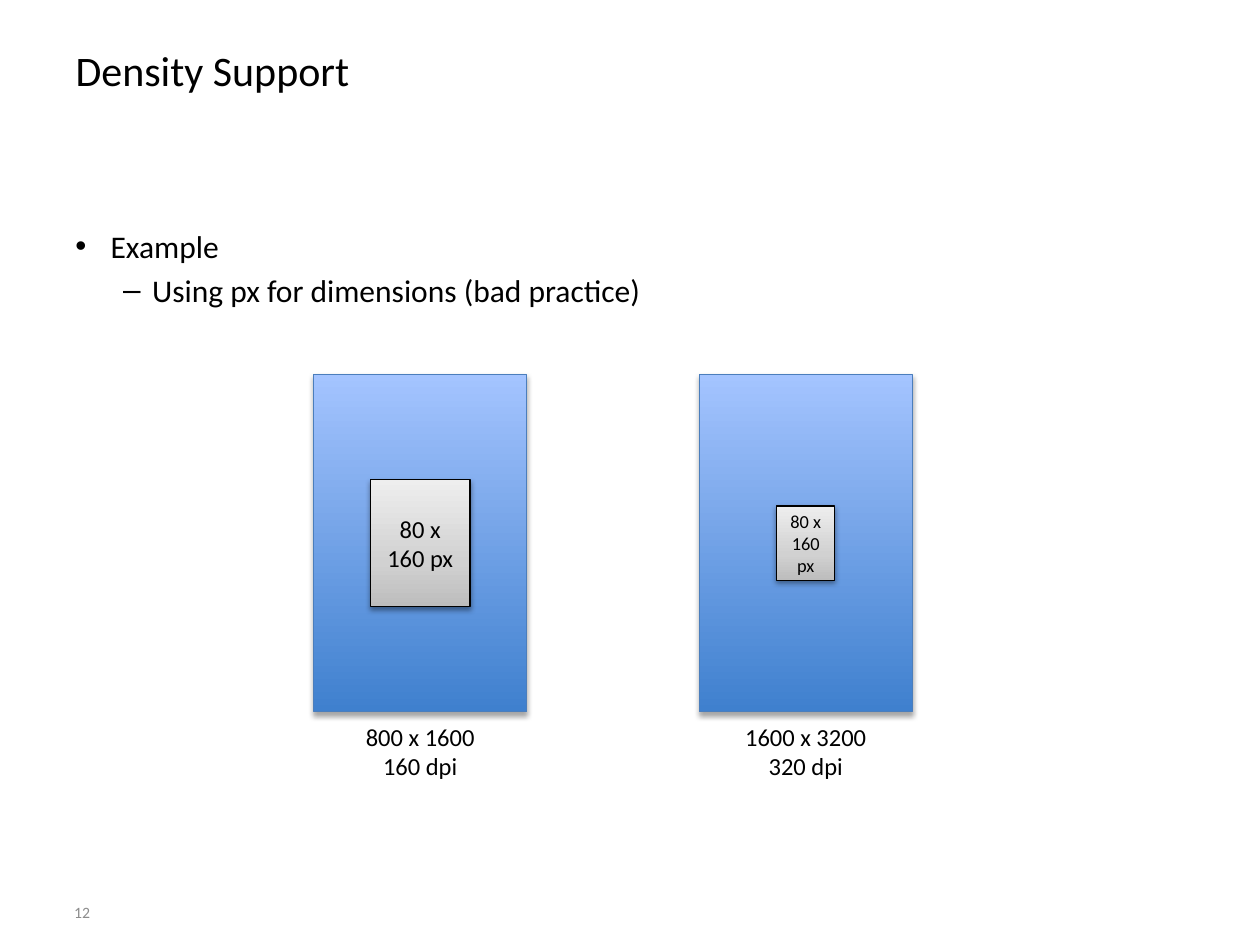
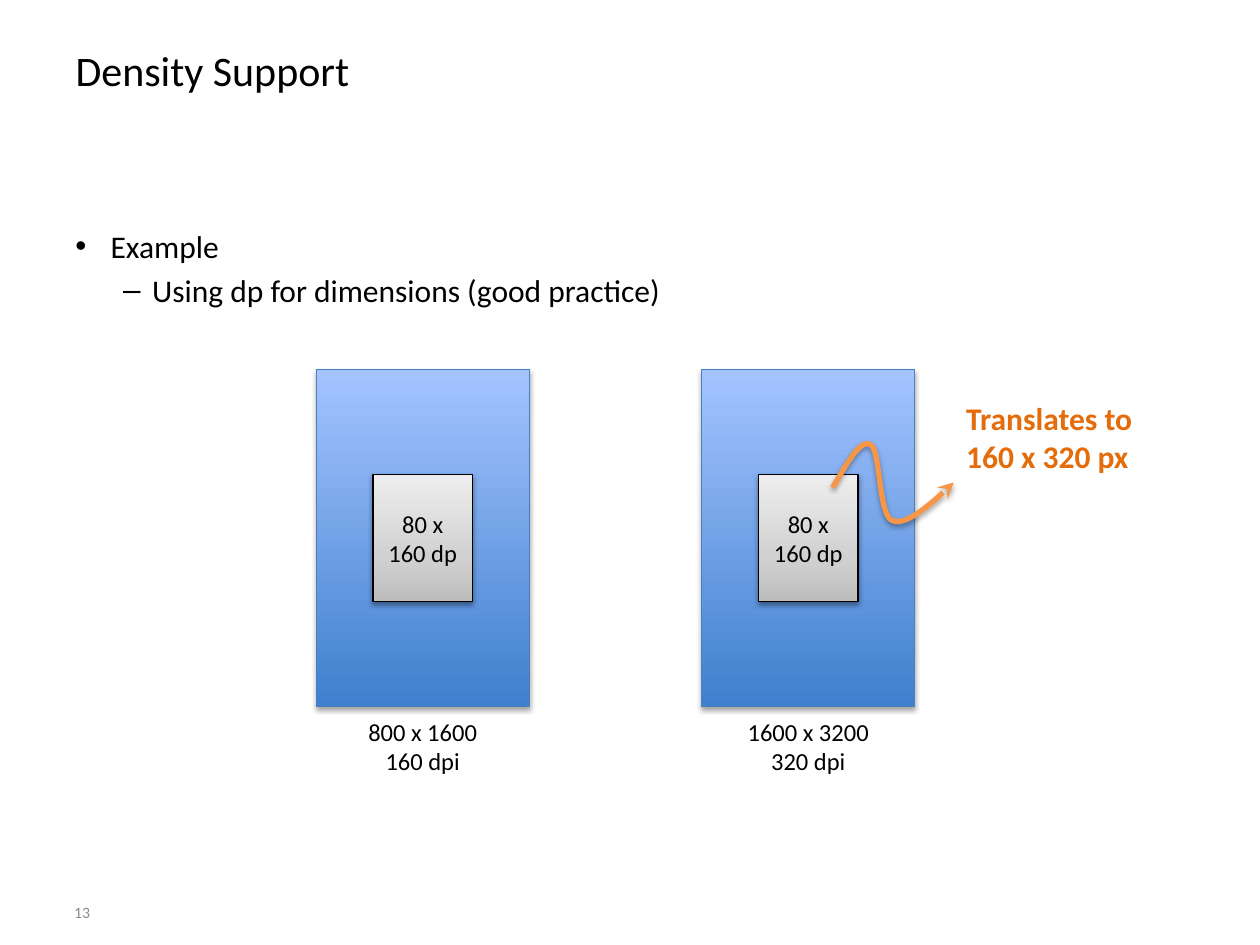
from dataclasses import dataclass

from lxml import etree
from pptx import Presentation
from pptx.dml.color import RGBColor
from pptx.enum.shapes import MSO_SHAPE
from pptx.enum.text import MSO_ANCHOR, MSO_AUTO_SIZE, PP_ALIGN
from pptx.oxml.ns import qn
from pptx.util import Inches, Pt

RECT = MSO_SHAPE.RECTANGLE
TOP, MIDDLE = MSO_ANCHOR.TOP, MSO_ANCHOR.MIDDLE
LEFT, CENTER = PP_ALIGN.LEFT, PP_ALIGN.CENTER
NO_FIT = MSO_AUTO_SIZE.NONE

FONT = "Calibri"
BLACK, GRAY = "000000", "8C8C8C"
ORANGE, RUST = "F79646", "E46C0A"
BLUE_LINE = "4B7EBC"
BLUES = [(0, "3F80CE"), (100, "A4C4FF")]
GRAYS = [(0, "BDBDBD"), (35, "D1D1D1"), (100, "EEEEEE")]

SCREEN_W, SCREEN_H, PITCH = 1.69, 2.68, 3.06
CAPTIONS = [["800 x 1600", "160 dpi"], ["1600 x 3200", "320 dpi"]]
BULLETS = [("•", 0.28, 0.28), ("–", 0.61, 0.23)]

Point = tuple[float, float]


@dataclass
class Box:
    """A sized element inside a screen."""
    width: float
    height: float
    size: float


@dataclass
class Page:
    number: int
    claim: str
    label: str
    left: float
    top: float
    boxes: list[Box]


LARGE, SMALL = Box(0.79, 1.01, 14), Box(0.46, 0.59, 10.5)
PAGES = [
    Page(12, "Using px for dimensions (bad practice)", "80 x 160 px",
         2.49, 2.97, [LARGE, SMALL]),
    Page(13, "Using dp for dimensions (good practice)", "80 x 160 dp",
         2.51, 2.93, [LARGE, LARGE]),
]

# Start point, then two controls and an end for each Bézier segment
CURVE = [(6.61, 3.87), (6.72, 3.68), (6.83, 3.48), (6.91, 3.53),
         (6.99, 3.57), (6.97, 4.08), (7.08, 4.13),
         (7.19, 4.18), (7.38, 4.01), (7.57, 3.83)]
STEPS = 16


def color(code: str) -> RGBColor:
    return RGBColor.from_string(code)


def add_node(parent, tag: str, **attrs):
    return etree.SubElement(parent, qn(tag), {k: str(v) for k, v in attrs.items()})


def write(shape, lines: list[str], size: float, code: str = BLACK, bold: bool = False,
          align=LEFT, anchor=TOP, gap: float = 0):
    frame = shape.text_frame
    frame.word_wrap = True
    frame.auto_size = NO_FIT
    frame.vertical_anchor = anchor
    frame.text = "\n".join(lines)
    for para in frame.paragraphs:
        para.alignment = align
        para.space_before = Pt(gap)
        font = para.runs[0].font
        font.name, font.size, font.bold = FONT, Pt(size), bold
        font.color.rgb = color(code)


def add_text(slide, at: tuple, lines: list[str], size: float, **style):
    box = slide.shapes.add_textbox(*map(Inches, at))
    write(box, lines, size, **style)
    return box


def cast_shadow(shape, alpha: int, dist: float):
    shape.shadow.inherit = False
    effects = shape._element.spPr.find(qn("a:effectLst"))
    shadow = add_node(effects, "a:outerShdw", blurRad=Pt(3.1), dist=Pt(dist),
                      dir=5400000, rotWithShape=0)
    tone = add_node(shadow, "a:srgbClr", val=BLACK)
    add_node(tone, "a:alpha", val=alpha * 1000)


def add_panel(slide, at: tuple, stops: list, line: str, alpha: int, dist: float):
    """Add a rectangle with a gradient that runs from bottom to top."""
    panel = slide.shapes.add_shape(RECT, *map(Inches, at))
    panel.fill.gradient()
    panel.fill.gradient_angle = 90
    ramp = panel._element.spPr.find(qn("a:gradFill")).find(qn("a:gsLst"))
    for old in list(ramp):
        ramp.remove(old)
    for place, code in stops:
        add_node(add_node(ramp, "a:gs", pos=place * 1000), "a:srgbClr", val=code)
    panel.line.color.rgb = color(line)
    panel.line.width = Pt(0.75)
    cast_shadow(panel, alpha, dist)
    return panel


def add_screen(slide, left: float, top: float, box: Box, label: str, caption: list[str]):
    add_panel(slide, (left, top, SCREEN_W, SCREEN_H), BLUES, BLUE_LINE, 35, 1.8)
    add_text(slide, (left, top + 2.71, SCREEN_W, 0.57), caption, 14, align=CENTER)
    at = (left + (SCREEN_W - box.width) / 2, top + (SCREEN_H - box.height) / 2,
          box.width, box.height)
    item = add_panel(slide, at, GRAYS, BLACK, 38, 1.6)
    write(item, [label], box.size, align=CENTER, anchor=MIDDLE)


def bezier(knots: list[Point], t: float) -> Point:
    weights = ((1 - t) ** 3, 3 * t * (1 - t) ** 2, 3 * t * t * (1 - t), t ** 3)
    x, y = (sum(w * k[axis] for w, k in zip(weights, knots)) for axis in (0, 1))
    return Inches(x), Inches(y)


def add_curve(slide):
    points = [bezier(CURVE[i:i + 4], step / STEPS)
              for i in range(0, len(CURVE) - 1, 3) for step in range(1, STEPS + 1)]
    pen = slide.shapes.build_freeform(*map(Inches, CURVE[0]))
    pen.add_line_segments(points, close=False)
    curve = pen.convert_to_shape()
    curve.fill.background()
    curve.line.color.rgb = color(ORANGE)
    curve.line.width = Pt(3)
    add_node(curve.line._get_or_add_ln(), "a:tailEnd", type="stealth")
    cast_shadow(curve, 35, 1.8)


def add_bullets(slide, lines: list[str]):
    body = add_text(slide, (0.5, 1.75, 9, 4.95), lines, 18, gap=3.6)
    for para, (mark, margin, hang) in zip(body.text_frame.paragraphs, BULLETS):
        props = para._p.get_or_add_pPr()
        props.set("marL", str(Inches(margin)))
        props.set("indent", str(-Inches(hang)))
        add_node(props, "a:buFont", typeface="Arial")
        add_node(props, "a:buChar", char=mark)


def add_page(deck, page: Page):
    slide = deck.slides.add_slide(deck.slide_layouts[5])
    title = slide.shapes.title
    title.left, title.top, title.width, title.height = map(Inches, (0.5, 0.3, 9, 1.25))
    write(title, ["Density Support"], 24)
    add_bullets(slide, ["Example", page.claim])
    add_text(slide, (0.49, 7.04, 0.53, 0.4), [str(page.number)], 9,
             code=GRAY, anchor=MIDDLE)
    for i, (box, caption) in enumerate(zip(page.boxes, CAPTIONS)):
        add_screen(slide, page.left + i * PITCH, page.top, box, page.label, caption)
    return slide


def main():
    deck = Presentation()
    deck.slide_width, deck.slide_height = Inches(10), Inches(7.5)
    bad, good = [add_page(deck, page) for page in PAGES]
    add_curve(good)
    add_text(good, (7.57, 3.12, 1.55, 0.71), ["Translates to 160 x 320 px"], 18,
             code=RUST, bold=True)
    deck.save("out.pptx")


if __name__ == "__main__":
    main()
